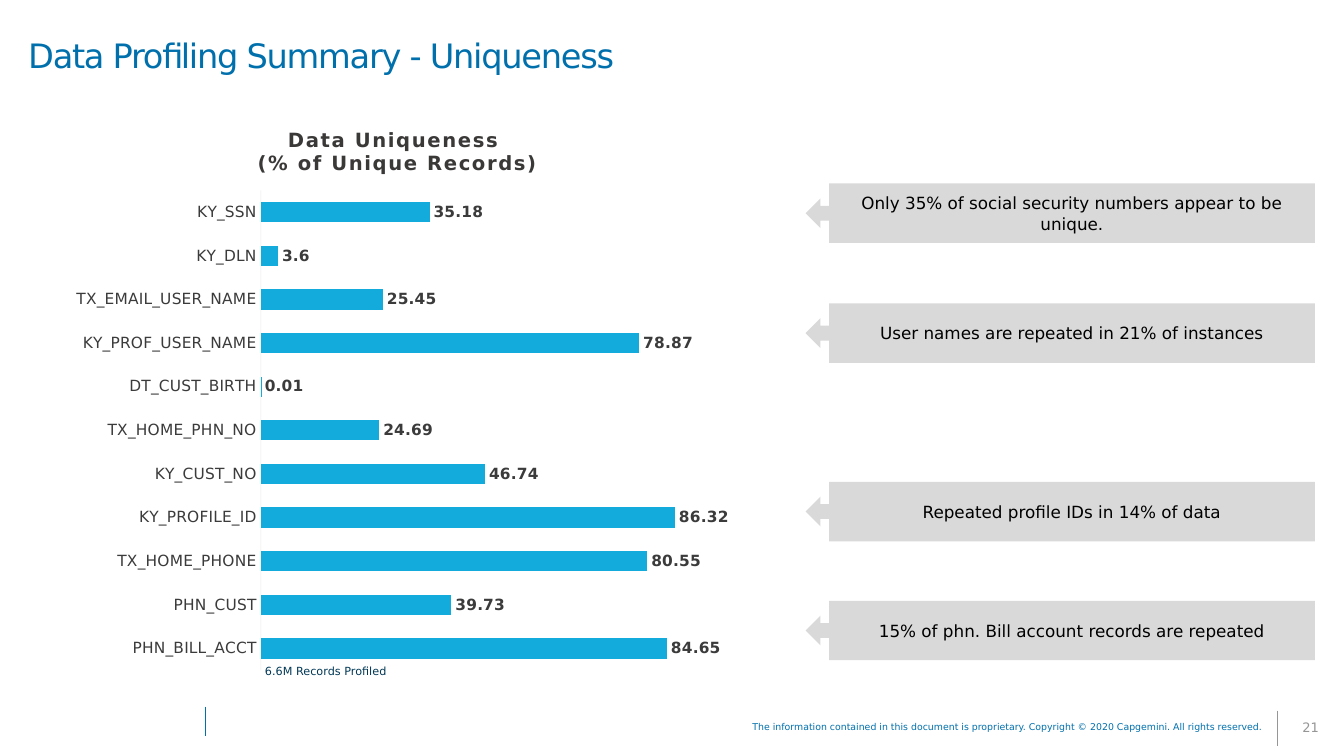
from lxml.etree import SubElement
from pptx import Presentation
from pptx.chart.data import CategoryChartData
from pptx.dml.color import RGBColor
from pptx.enum.chart import XL_CHART_TYPE, XL_LABEL_POSITION, XL_TICK_LABEL_POSITION, XL_TICK_MARK
from pptx.enum.shapes import MSO_CONNECTOR, MSO_SHAPE
from pptx.enum.text import MSO_ANCHOR, PP_ALIGN
from pptx.oxml import parse_xml
from pptx.oxml.ns import nsdecls, qn
from pptx.util import Inches, Pt

FONT = "DejaVu Sans"
COLORS = {
    "title": "0070AD", "bar": "12ABDB", "callout": "D9D9D9", "black": "000000",
    "chart_text": "3B3B3B", "chart_title": "3B3838", "axis": "F2F2F2",
    "grey": "969696", "navy": "003856",
}
UNIQUENESS = {
    "PHN_BILL_ACCT": 84.65, "PHN_CUST": 39.73, "TX_HOME_PHONE": 80.55,
    "KY_PROFILE_ID": 86.32, "KY_CUST_NO": 46.74, "TX_HOME_PHN_NO": 24.69,
    "DT_CUST_BIRTH": 0.01, "KY_PROF_USER_NAME": 78.87,
    "TX_EMAIL_USER_NAME": 25.45, "KY_DLN": 3.6, "KY_SSN": 35.18,
}
CALLOUTS = [
    (1.82, "Only 35% of social security numbers appear to be unique."),
    (3.01, "User names are repeated in 21% of instances"),
    (4.78, "Repeated profile IDs in 14% of data"),
    (5.96, "15% of phn. Bill account records are repeated"),
]


def rgb(name):
    return RGBColor.from_string(COLORS[name])


def style_font(font, size, color, bold=False):
    font.name = FONT
    font.size = Pt(size)
    font.bold = bold
    font.color.rgb = rgb(color)


def write(frame, text, size=12, color="black", bold=False, align=PP_ALIGN.LEFT,
          line_spacing=None, tracking=None):
    for index, line in enumerate(text.split("\n")):
        para = frame.add_paragraph() if index else frame.paragraphs[0]
        para.alignment = align
        para.line_spacing = line_spacing
        span = para.add_run()
        span.text = line
        style_font(span.font, size, color, bold)
        if tracking is not None:
            span.font._element.set("spc", str(round(tracking * 100)))


def place(element, index, **values):
    for old in element.findall(qn("c:layout")):
        element.remove(old)
    layout = parse_xml(f"<c:layout {nsdecls('c')}><c:manualLayout/></c:layout>")
    for tag, value in values.items():
        SubElement(layout[0], qn(f"c:{tag}")).set("val", str(value))
    element.insert(index, layout)


class SlideBuilder:
    def __init__(self, page):
        self.page = page

    def text(self, text, left, top, width, height, anchor=MSO_ANCHOR.TOP,
             margins=(0.1, 0.05, 0.1, 0.05), wrap=True, **style):
        box = self.page.shapes.add_textbox(Inches(left), Inches(top), Inches(width), Inches(height))
        frame = box.text_frame
        frame.word_wrap = wrap
        frame.vertical_anchor = anchor
        (frame.margin_left, frame.margin_top,
         frame.margin_right, frame.margin_bottom) = map(Inches, margins)
        write(frame, text, **style)

    def rule(self, left, top, bottom, color):
        line = self.page.shapes.add_connector(
            MSO_CONNECTOR.STRAIGHT, Inches(left), Inches(top), Inches(left), Inches(bottom))
        line.line.color.rgb = rgb(color)
        line.line.width = Pt(0.75)
        SubElement(line._element.spPr, qn("a:effectLst"))

    def callout(self, text, top):
        box = self.page.shapes.add_shape(
            MSO_SHAPE.LEFT_ARROW_CALLOUT, Inches(7.99), Inches(top), Inches(5.05), Inches(0.59))
        box.shadow.inherit = False
        for index, value in enumerate((0.25, 0.25, 0.25, 0.954)):
            box.adjustments[index] = value
        box.fill.solid()
        box.fill.fore_color.rgb = rgb("callout")
        box.line.fill.background()
        box.text_frame.word_wrap = True
        box.text_frame.vertical_anchor = MSO_ANCHOR.MIDDLE
        write(box.text_frame, text, align=PP_ALIGN.CENTER)

    def bar_chart(self, title, values):
        data = CategoryChartData()
        data.categories = list(values)
        data.add_series("Series 1", list(values.values()))
        chart = self.page.shapes.add_chart(
            XL_CHART_TYPE.BAR_CLUSTERED, Inches(0.29), Inches(1.17),
            Inches(7.58), Inches(5.75), data).chart
        chart.has_legend = False
        style_font(chart.font, 10, "chart_text")

        chart.has_title = True
        write(chart.chart_title.text_frame, title, size=14, color="chart_title",
              bold=True, align=PP_ALIGN.CENTER, tracking=1)
        place(chart.chart_title._element, 1, xMode="edge", yMode="edge", x=0.295, y=0.01)
        place(chart._chartSpace.chart.plotArea, 0, layoutTarget="inner", xMode="edge",
              yMode="edge", x=0.303, y=0.125, w=0.628, h=0.828)

        value_axis = chart.value_axis
        value_axis.visible = False
        value_axis.has_major_gridlines = False
        value_axis.minimum_scale = 0
        value_axis.maximum_scale = 100

        category_axis = chart.category_axis
        category_axis.major_tick_mark = XL_TICK_MARK.NONE
        category_axis.minor_tick_mark = XL_TICK_MARK.NONE
        category_axis.tick_label_position = XL_TICK_LABEL_POSITION.NEXT_TO_AXIS
        style_font(category_axis.tick_labels.font, 11, "chart_text")
        axis_line = category_axis.format.line
        axis_line.width = Pt(1)
        axis_line.color.rgb = rgb("axis")
        shade = category_axis._element.find(".//" + qn("c:spPr")).find(".//" + qn("a:srgbClr"))
        SubElement(shade, qn("a:alpha")).set("val", "54000")

        plot = chart.plots[0]
        plot.gap_width = 115
        plot.overlap = -20
        plot.vary_by_categories = False
        series = plot.series[0]
        series.invert_if_negative = False
        series.format.fill.solid()
        series.format.fill.fore_color.rgb = rgb("bar")
        labels = series.data_labels
        labels.show_value = True
        labels.position = XL_LABEL_POSITION.OUTSIDE_END
        style_font(labels.font, 11, "chart_text", bold=True)


def main():
    deck = Presentation()
    deck.slide_width = Inches(13.33)
    deck.slide_height = Inches(7.5)
    builder = SlideBuilder(deck.slides.add_slide(deck.slide_layouts[6]))

    builder.rule(12.67, 7.05, 7.4, "grey")
    builder.text("21", 12.67, 7.05, 0.66, 0.35, anchor=MSO_ANCHOR.MIDDLE, size=9.3,
                 color="grey", align=PP_ALIGN.CENTER, line_spacing=0.85)
    builder.text("The information contained in this document is proprietary. "
                 "Copyright © 2020 Capgemini. All rights reserved.",
                 5.99, 7.12, 6.64, 0.2, size=6.7, color="title",
                 align=PP_ALIGN.RIGHT, line_spacing=0.85)
    builder.rule(2.04, 7.01, 7.3, "title")
    builder.text("Data Profiling Summary - Uniqueness", 0, 0, 13.33, 1.16,
                 anchor=MSO_ANCHOR.MIDDLE, margins=(0.28, 0.03, 0.15, 0.03),
                 size=24, color="title", line_spacing=0.85, tracking=-0.9)
    builder.bar_chart("Data Uniqueness \n(% of Unique Records)", UNIQUENESS)
    for top, text in CALLOUTS:
        builder.callout(text, top)
    builder.text("6.6M Records Profiled", 2.53, 6.54, 1.43, 0.24, wrap=False,
                 size=8, color="navy")
    deck.save("out.pptx")


if __name__ == "__main__":
    main()
